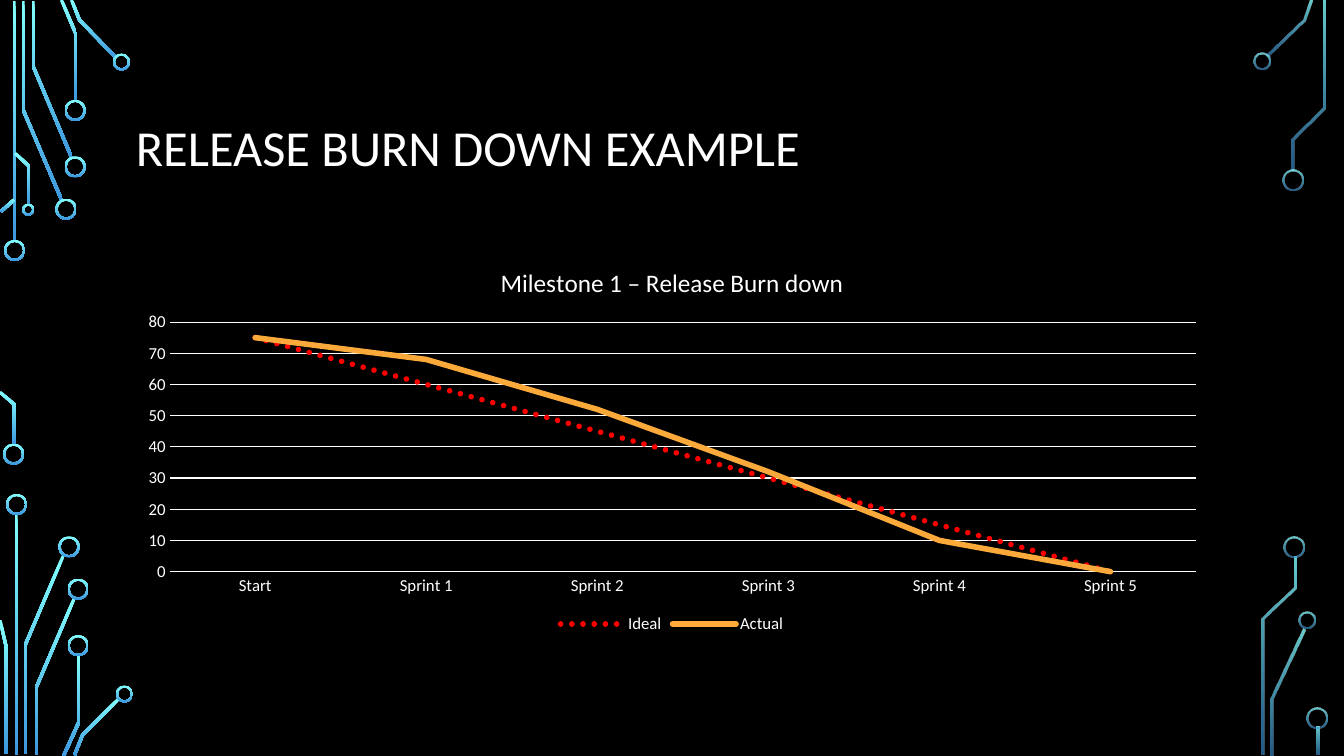
from math import hypot

from lxml.etree import SubElement
from pptx import Presentation
from pptx.chart.data import CategoryChartData
from pptx.dml.color import RGBColor
from pptx.enum.chart import XL_CHART_TYPE, XL_LEGEND_POSITION, XL_TICK_MARK
from pptx.enum.dml import MSO_LINE
from pptx.enum.shapes import MSO_SHAPE
from pptx.enum.text import MSO_ANCHOR
from pptx.oxml.ns import qn
from pptx.util import Inches, Pt

BLACK = RGBColor(0x00, 0x00, 0x00)
WHITE = RGBColor(0xFF, 0xFF, 0xFF)
CYAN = RGBColor(0x82, 0xFF, 0xFF)
BLUE = RGBColor(0x3D, 0x97, 0xDE)
RED = RGBColor(0xFF, 0x00, 0x00)
ORANGE = RGBColor(0xFA, 0xA9, 0x3A)
FONT = "Calibri"

TITLE = "RELEASE BURN DOWN EXAMPLE"
CHART_TITLE = "Milestone 1 – Release Burn down"
SPRINTS = ["Start", "Sprint 1", "Sprint 2", "Sprint 3", "Sprint 4", "Sprint 5"]
SERIES = [
    ("Ideal", (75, 60, 45, 30, 15, 0), RED, MSO_LINE.ROUND_DOT),
    ("Actual", (75, 68, 52, 32, 10, 0), ORANGE, MSO_LINE.SOLID),
]

TRACE_WIDTH = 0.03
RING_WALL = 0.02
LEFT_TRACES = [
    [(0.14, 0.01), (0.14, 2.4)],
    [(0.23, 0.01), (0.23, 1.09), (0.61, 1.98)],
    [(0.33, 0.01), (0.33, 0.66), (0.71, 1.56)],
    [(0.61, 0), (0.75, 0.33), (0.75, 1)],
    [(0.71, 0), (0.79, 0.2), (1.15, 0.57)],
    [(0.01, 2.1), (0.14, 1.98)],
    [(0, 3.89), (0.14, 4.01), (0.14, 4.41)],
    [(0.15, 1.52), (0.29, 1.65), (0.29, 2.03)],
    [(0.16, 5.1), (0.16, 7.49)],
    [(0.25, 7.48), (0.25, 6.4), (0.63, 5.51)],
    [(0, 6.15), (0.06, 6.41), (0.06, 7.48)],
    [(0.36, 7.49), (0.36, 6.82), (0.74, 5.93)],
    [(0.63, 7.5), (0.78, 7.17), (0.78, 6.5)],
    [(0.74, 7.49), (0.82, 7.29), (1.18, 6.93)],
]
RIGHT_TRACES = [
    [(12.57, 0.55), (12.93, 0.2), (13, 0)],
    [(12.62, 7.49), (12.62, 6.93), (12.93, 6.24)],
    [(12.82, 1.69), (12.82, 1.38), (13.13, 1.07), (13.13, 0.01)],
    [(12.53, 7.49), (12.53, 6.14), (12.84, 5.83), (12.84, 5.52)],
    [(13.07, 7.21), (13.07, 7.49)],
]
LEFT_RINGS = [
    (0.04, 2.38, 0.21), (0.03, 4.4, 0.21), (0.55, 1.97, 0.21),
    (0.64, 1.55, 0.21), (0.64, 0.99, 0.21), (1.12, 0.53, 0.17),
    (0.22, 2.02, 0.12), (0.06, 4.9, 0.21), (0.58, 5.32, 0.21),
    (0.67, 5.74, 0.21), (0.67, 6.3, 0.21), (1.15, 6.8, 0.17),
]
RIGHT_RINGS = [
    (12.43, 0.52, 0.17), (12.72, 1.68, 0.21), (12.88, 6.07, 0.17),
    (12.73, 5.32, 0.21), (12.96, 7.02, 0.21),
]
CIRCUITS = [
    (LEFT_TRACES, LEFT_RINGS, (100, 100)),
    (RIGHT_TRACES, RIGHT_RINGS, (80, 60)),
]


def paint(shape, opacities):
    shape.shadow.inherit = False
    shape.line.fill.background()
    shape.fill.gradient()
    shape.fill.gradient_angle = 270
    for stop, color in zip(shape.fill.gradient_stops, (CYAN, BLUE)):
        stop.color.rgb = color
    colors = shape._element.spPr.iter(qn("a:srgbClr"))
    for element, opacity in zip(list(colors), opacities):
        if opacity < 100:
            SubElement(element, qn("a:alpha")).set("val", str(opacity * 1000))


def normal(start, end):
    across, down = end[0] - start[0], end[1] - start[1]
    length = hypot(across, down)
    return -down / length, across / length


def trace_outline(points):
    normals = [normal(a, b) for a, b in zip(points, points[1:])]
    right, left = [], []
    for (x, y), before, after in zip(points, normals[:1] + normals, normals + normals[-1:]):
        scale = TRACE_WIDTH / 2 / (1 + before[0] * after[0] + before[1] * after[1])
        shift_x, shift_y = (before[0] + after[0]) * scale, (before[1] + after[1]) * scale
        right.append((Inches(x + shift_x), Inches(y + shift_y)))
        left.append((Inches(x - shift_x), Inches(y - shift_y)))
    return right + left[::-1]


def add_circuit(slide, traces, rings, opacities):
    for points in traces:
        outline = trace_outline(points)
        builder = slide.shapes.build_freeform(*outline[0])
        builder.add_line_segments(outline[1:], close=True)
        paint(builder.convert_to_shape(), opacities)
    for left, top, size in rings:
        ring = slide.shapes.add_shape(
            MSO_SHAPE.DONUT, Inches(left), Inches(top), Inches(size), Inches(size))
        ring.adjustments[0] = RING_WALL / size
        paint(ring, opacities)


def style_font(font, size):
    font.name = FONT
    font.size = Pt(size)
    font.bold = False
    font.color.rgb = WHITE


def add_title(slide):
    box = slide.shapes.add_textbox(Inches(1.25), Inches(0.68), Inches(10.83), Inches(1.62))
    frame = box.text_frame
    frame.word_wrap = True
    frame.vertical_anchor = MSO_ANCHOR.MIDDLE
    frame.text = TITLE
    paragraph = frame.paragraphs[0]
    paragraph.line_spacing = 0.9
    style_font(paragraph.runs[0].font, 36)


def place_plot(chart, **fractions):
    plot_area = chart._chartSpace.chart.plotArea
    for old in plot_area.findall(qn("c:layout")):
        plot_area.remove(old)
    layout = SubElement(plot_area, qn("c:layout"))
    plot_area.insert(0, layout)
    manual = SubElement(layout, qn("c:manualLayout"))
    settings = {"layoutTarget": "inner", "xMode": "edge", "yMode": "edge", **fractions}
    for name, value in settings.items():
        SubElement(manual, qn("c:" + name)).set("val", str(value))


def add_burn_down(slide):
    data = CategoryChartData()
    data.categories = SPRINTS
    for name, values, _, _ in SERIES:
        data.add_series(name, values)
    chart = slide.shapes.add_chart(
        XL_CHART_TYPE.LINE, Inches(1.25), Inches(2.46), Inches(10.83), Inches(3.87), data).chart
    style_font(chart.font, 10)
    chart.has_title = True
    chart.chart_title.text_frame.text = CHART_TITLE
    style_font(chart.chart_title.text_frame.paragraphs[0].runs[0].font, 18)
    chart.has_legend = True
    chart.legend.position = XL_LEGEND_POSITION.BOTTOM
    chart.legend.include_in_layout = False
    style_font(chart.legend.font, 12)
    for axis in (chart.category_axis, chart.value_axis):
        axis.major_tick_mark = axis.minor_tick_mark = XL_TICK_MARK.NONE
        style_font(axis.tick_labels.font, 12)
    chart.value_axis.minimum_scale = 0
    chart.value_axis.maximum_scale = 80
    chart.value_axis.major_unit = 10
    chart.value_axis.format.line.fill.background()
    for line in (chart.category_axis.format.line, chart.value_axis.major_gridlines.format.line):
        line.color.rgb = WHITE
        line.width = Pt(0.75)
    chart.plots[0].vary_by_categories = False
    for series, (_, _, color, dash) in zip(chart.plots[0].series, SERIES):
        series.smooth = False
        line = series.format.line
        line.color.rgb = color
        line.width = Pt(4)
        line.dash_style = dash
        series._element.spPr.find(qn("a:ln")).set("cap", "rnd")
    place_plot(chart, x=0.04, y=0.19, w=0.94, h=0.64)


def main():
    presentation = Presentation()
    presentation.slide_width = Inches(13.33)
    presentation.slide_height = Inches(7.5)
    slide = presentation.slides.add_slide(presentation.slide_layouts[6])
    slide.background.fill.solid()
    slide.background.fill.fore_color.rgb = BLACK
    for traces, rings, opacities in CIRCUITS:
        add_circuit(slide, traces, rings, opacities)
    add_title(slide)
    add_burn_down(slide)
    presentation.save("out.pptx")


if __name__ == "__main__":
    main()
